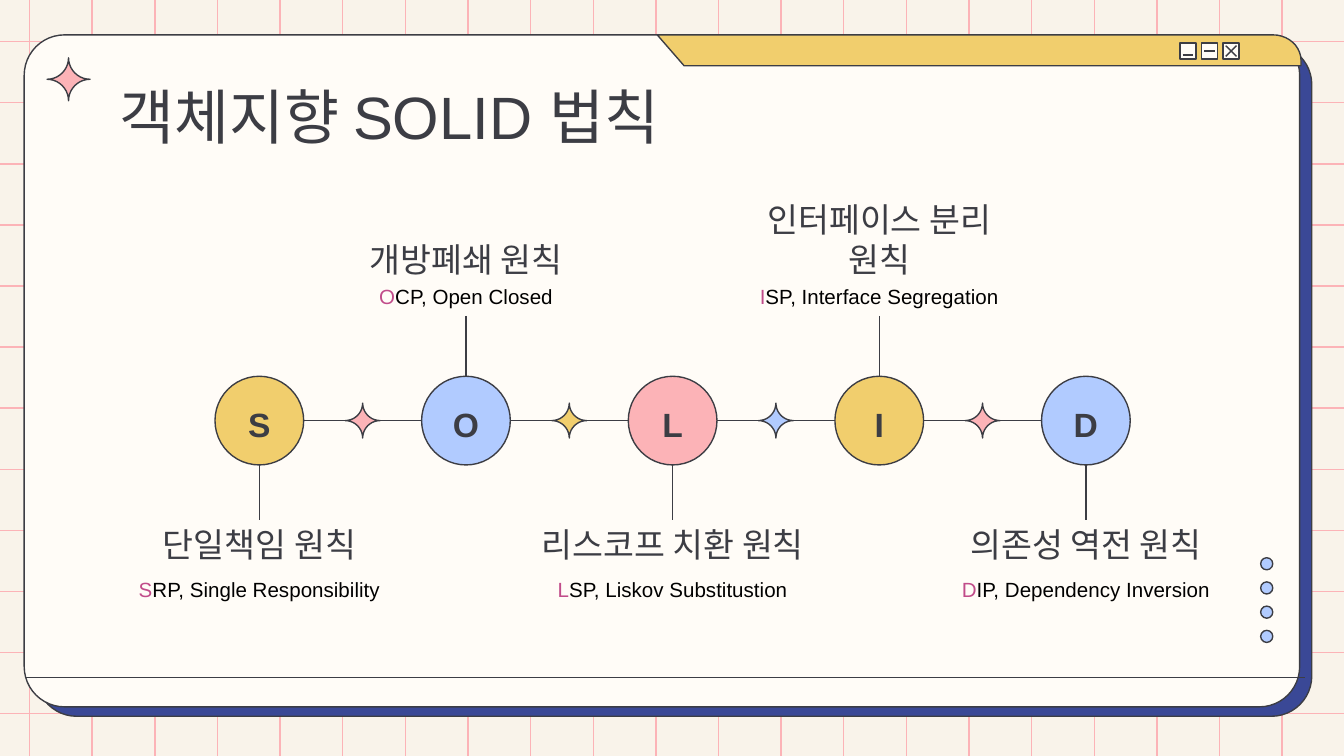
import math
import pptx
import pptx.util
import pptx.dml.color
import pptx.enum.shapes
import pptx.enum.text
import lxml.etree

Inches, Pt = pptx.util.Inches, pptx.util.Pt
Kind = pptx.enum.shapes.MSO_SHAPE
Anchor = pptx.enum.text.MSO_ANCHOR
Align = pptx.enum.text.PP_ALIGN

HEX = {"paper": "F9F3EA", "panel": "FFFCF7", "ink": "3C3D44", "navy": "3A4896",
       "pink": "FCB3B7", "gold": "F1CE6D", "blue": "B1CBFF",
       "rose": "C14C8A", "black": "000000"}
FONT = "Arial"
TITLE = "객체지향 SOLID 법칙"
# letter, fill, principle, rest of the English name
RULES = [
    ("S", "gold", "단일책임 원칙", "RP, Single Responsibility"),
    ("O", "blue", "개방폐쇄 원칙", "CP, Open Closed"),
    ("L", "pink", "리스코프 치환 원칙", "SP, Liskov Substitustion"),
    ("I", "gold", "인터페이스 분리 원칙", "SP, Interface Segregation"),
    ("D", "blue", "의존성 역전 원칙", "IP, Dependency Inversion"),
]
STARS = ["pink", "gold", "blue", "pink"]

WIDE = 10
HIGH = WIDE * 9 / 16
FIRST, LAST = 1.93, 8.08        # centres of the outer columns
STEP = (LAST - FIRST) / (len(RULES) - 1)
MID, RAD = 3.13, 0.33           # centre line and radius of the circles
LABEL = 2.28                    # width of a label
ABOVE = {"head": 1.75, "sub": 2.01, "high": 0.34, "stem": (2.35, MID - RAD)}
BELOW = {"head": 3.87, "sub": 4.19, "high": 0.63, "stem": (MID + RAD, 3.87)}

deck = pptx.Presentation()
deck.slide_width, deck.slide_height = Inches(WIDE), Inches(HIGH)
slide = deck.slides.add_slide(deck.slide_layouts[5])
shapes = slide.shapes


def color(name):
    return pptx.dml.color.RGBColor.from_string(HEX[name])


def paint(shape, fill):
    shape.shadow.inherit = False
    shape.fill.solid()
    shape.fill.fore_color.rgb = color(fill)
    shape.line.color.rgb = color("ink")
    shape.line.width = Pt(0.75)
    return shape


def block(kind, x, y, w, h, fill):
    return paint(shapes.add_shape(kind, *map(Inches, (x, y, w, h))), fill)


def line(x1, y1, x2, y2, ink="ink"):
    rule = shapes.add_connector(pptx.enum.shapes.MSO_CONNECTOR.STRAIGHT,
                                *map(Inches, (x1, y1, x2, y2)))
    rule.line.color.rgb = color(ink)
    rule.line.width = Pt(0.75)
    props = rule.element.spPr
    lxml.etree.SubElement(props, pptx.oxml.ns.qn("a:effectLst"))


def outline(dots, fill):
    """Draw a closed outline through points given in inches."""
    spots = [(Inches(x), Inches(y)) for x, y in dots]
    pen = shapes.build_freeform(*spots[0])
    pen.add_line_segments(spots[1:], close=True)
    paint(pen.convert_to_shape(), fill)


def star(x, y, r, fill):
    """Draw a four-point star whose sides are concave quarter circles."""
    dots = []
    for turn in range(4):
        c, s = math.cos(turn * math.pi / 2), math.sin(turn * math.pi / 2)
        for part in range(10):
            t = part * math.pi / 20
            u, v = 1 - math.sin(t), 1 - math.cos(t)
            dots.append((x + r * (u * c - v * s), y + r * (u * s + v * c)))
    outline(dots, fill)


def write(shape, runs, size, ink="ink", bold=False, align=Align.CENTER,
          anchor=Anchor.TOP):
    """Fill a shape with one paragraph of (text, own colour or None) runs."""
    frame = shape.text_frame
    frame.word_wrap = True
    frame.auto_size = pptx.enum.text.MSO_AUTO_SIZE.NONE
    frame.vertical_anchor = anchor
    frame.margin_left = frame.margin_right = Inches(0.1)
    frame.margin_top = frame.margin_bottom = Inches(0.1)
    para = frame.paragraphs[0]
    para.alignment = align
    font = para.font
    font.name, font.size, font.bold = FONT, Pt(size), bold
    font.color.rgb = color(ink)
    for text, tint in runs:
        run = para.add_run()
        run.text = text
        if tint:
            run.font.color.rgb = color(tint)
    return para


def label(mid, y, h, *args, **style):
    box = shapes.add_textbox(*map(Inches, (mid - LABEL / 2, y, LABEL, h)))
    write(box, *args, **style)


def backdrop():
    slide.background.fill.solid()
    slide.background.fill.fore_color.rgb = color("paper")
    for i in range(21):
        x = 0.22 + i * 9.32 / 20
        line(x, 0, x, HIGH, "pink")
    for i in range(12):
        y = 0.31 + i * 5 / 11
        line(0, y, WIDE, y, "pink")


def window():
    for x, y, fill in [(0.27, 0.33, "navy"), (0.18, 0.26, "panel")]:
        pane = block(Kind.ROUNDED_RECTANGLE, x, y, 9.49, 5, fill)
        pane.adjustments[0] = 0.06
    turns = [i * math.pi / 20 for i in range(11)]
    curve = [(9.47 + 0.21 * math.cos(t), 0.45 - 0.19 * math.sin(t))
             for t in turns]
    outline([(4.89, 0.26), (5.09, 0.49), (9.68, 0.49)] + curve, "gold")
    for i in range(3):
        block(Kind.RECTANGLE, 8.78 + i * 0.16, 0.32, 0.12, 0.12, "panel")
    line(8.8, 0.41, 8.88, 0.41)
    line(8.96, 0.38, 9.04, 0.38)
    line(9.12, 0.34, 9.2, 0.42)
    line(9.12, 0.42, 9.2, 0.34)
    star(0.51, 0.59, 0.16, "pink")
    for i in range(4):
        block(Kind.OVAL, 9.38, 4.15 + i * 0.18, 0.09, 0.09, "blue")
    line(0.19, 5.04, 9.71, 5.04)


def heading():
    title = shapes.title
    title.left, title.top = Inches(0.79), Inches(0.49)
    title.width, title.height = Inches(8.43), Inches(0.63)
    write(title, [(TITLE, None)], 32, align=Align.LEFT)
    title.element.getparent().append(title.element)  # in front of the window


def chain():
    for i, (letter, fill, name, rest) in enumerate(RULES):
        mid = FIRST + i * STEP
        row = ABOVE if i % 2 else BELOW
        disc = block(Kind.OVAL, mid - RAD, MID - RAD, 2 * RAD, 2 * RAD, fill)
        para = write(disc, [(letter, None)], 18, bold=True,
                     anchor=Anchor.MIDDLE)
        para.line_spacing = 1.15
        label(mid, row["sub"], row["high"],
              [(letter, "rose"), (rest, None)], 11, "black")
        label(mid, row["head"], 0.43, [(name, None)], 18,
              anchor=Anchor.BOTTOM)
        start, end = row["stem"]
        line(mid, start, mid, end)
    for i, fill in enumerate(STARS):
        mid = FIRST + i * STEP
        line(mid + RAD, MID, mid + STEP - RAD, MID)
        star(mid + STEP / 2, MID, 0.13, fill)


backdrop()
window()
heading()
chain()
deck.save("out.pptx")
